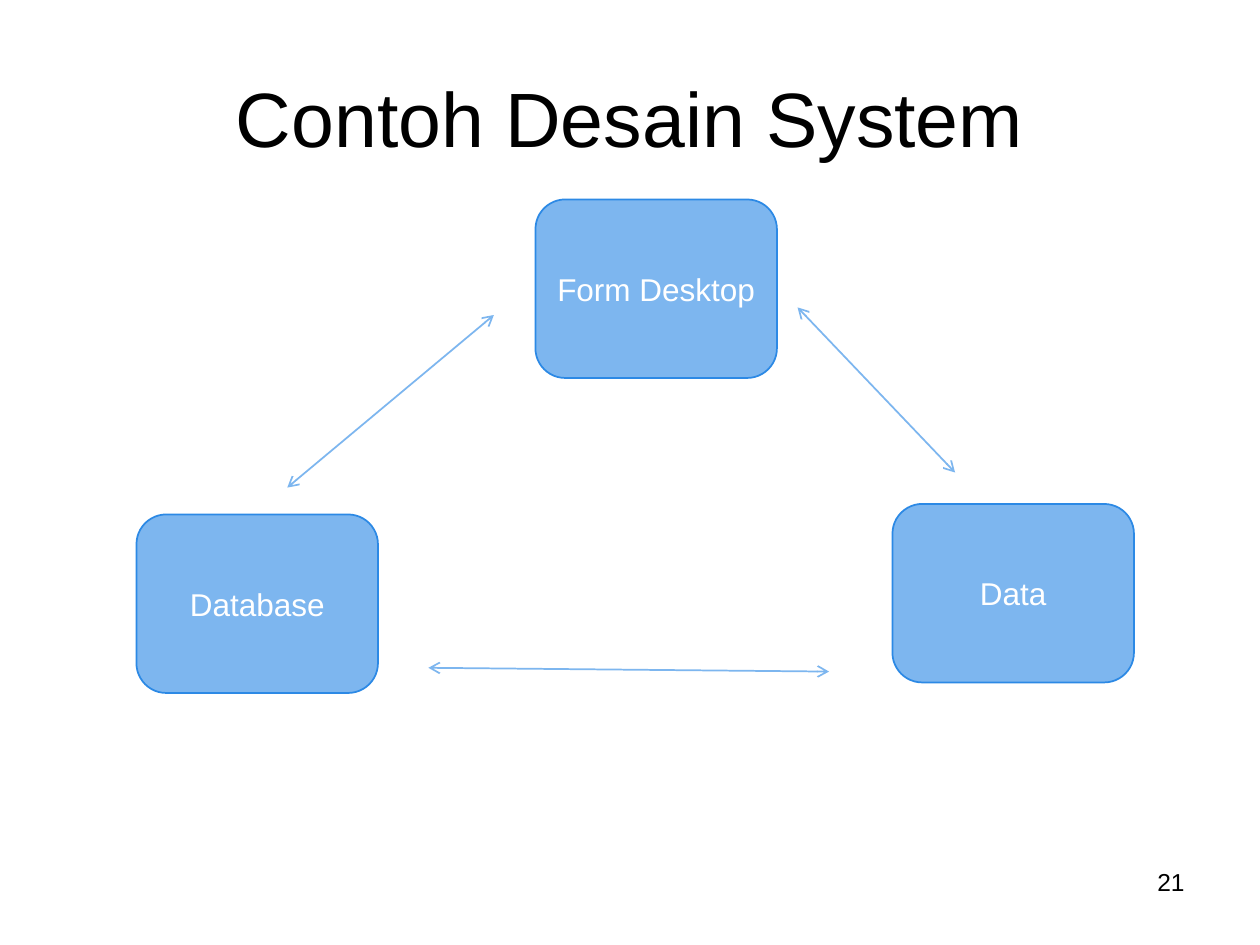
from lxml import etree
from pptx import Presentation
from pptx.dml.color import RGBColor
from pptx.enum.shapes import MSO_CONNECTOR, MSO_SHAPE
from pptx.enum.text import MSO_ANCHOR, PP_ALIGN
from pptx.oxml.ns import qn
from pptx.util import Inches, Pt

ROUNDED = MSO_SHAPE.ROUNDED_RECTANGLE
STRAIGHT = MSO_CONNECTOR.STRAIGHT
MIDDLE, TOP = MSO_ANCHOR.MIDDLE, MSO_ANCHOR.TOP
CENTER, RIGHT = PP_ALIGN.CENTER, PP_ALIGN.RIGHT
TITLE_ONLY = 5

COLORS = {"text": "000000", "label": "FFFFFF", "box": "7DB6EF", "edge": "2C89E5"}
FONT = "Arial"
CELL = 1 / 12  # grid step in inches
BOX_COLS, BOX_ROWS = 23, 17

# Label, left column, top row
COMPONENTS = [("Data", 85, 48), ("Form Desktop", 51, 19), ("Database", 13, 49)]

# Start and end of each link, in inches
LINKS = [
    ((2.28, 3.87), (3.92, 2.5)),   # Database to Form Desktop
    ((6.33, 2.44), (7.58, 3.75)),  # Form Desktop to Data
    ((3.4, 5.3), (6.58, 5.33)),    # Database to Data
]


def color(name):
    return RGBColor.from_string(COLORS[name])


def grid(*cells):
    return [Inches(n * CELL) for n in cells]


def write(holder, text, size=18, fill="text", align=CENTER, anchor=MIDDLE):
    frame = holder.text_frame
    frame.word_wrap = True
    frame.vertical_anchor = anchor
    paragraph = frame.paragraphs[0]
    paragraph.alignment = align
    run = paragraph.add_run()
    run.text = text
    run.font.name = FONT
    run.font.size = Pt(size)
    run.font.color.rgb = color(fill)


def add_component(slide, label, col, row):
    box = slide.shapes.add_shape(ROUNDED, *grid(col, row, BOX_COLS, BOX_ROWS))
    box.shadow.inherit = False
    box.fill.solid()
    box.fill.fore_color.rgb = color("box")
    box.line.color.rgb = color("edge")
    box.line.width = Pt(1)
    write(box, label, fill="label")


def add_link(slide, start, end):
    points = [Inches(n) for n in start + end]
    link = slide.shapes.add_connector(STRAIGHT, *points)
    link.line.color.rgb = color("box")
    link.line.width = Pt(1)
    # Open arrowheads at both ends, no shadow
    outline = link.line._get_or_add_ln()
    for tag in ("a:headEnd", "a:tailEnd"):
        etree.SubElement(outline, qn(tag), type="arrow")
    etree.SubElement(outline.getparent(), qn("a:effectLst"))


def main():
    deck = Presentation()
    deck.slide_width, deck.slide_height = Inches(10), Inches(7.5)
    slide = deck.slides.add_slide(deck.slide_layouts[TITLE_ONLY])

    # Title
    title = slide.shapes.title
    title.left, title.top, title.width, title.height = (
        Inches(n) for n in (0.5, 0.3, 9, 1.25))
    write(title, "Contoh Desain System", size=44)

    # Page number
    page_number = slide.shapes.add_textbox(*grid(86, 82, 28, 6.25))
    write(page_number, "21", size=14, align=RIGHT, anchor=TOP)

    # System components and the links between them
    for component in COMPONENTS:
        add_component(slide, *component)
    for link in LINKS:
        add_link(slide, *link)

    deck.save("out.pptx")


if __name__ == "__main__":
    main()
